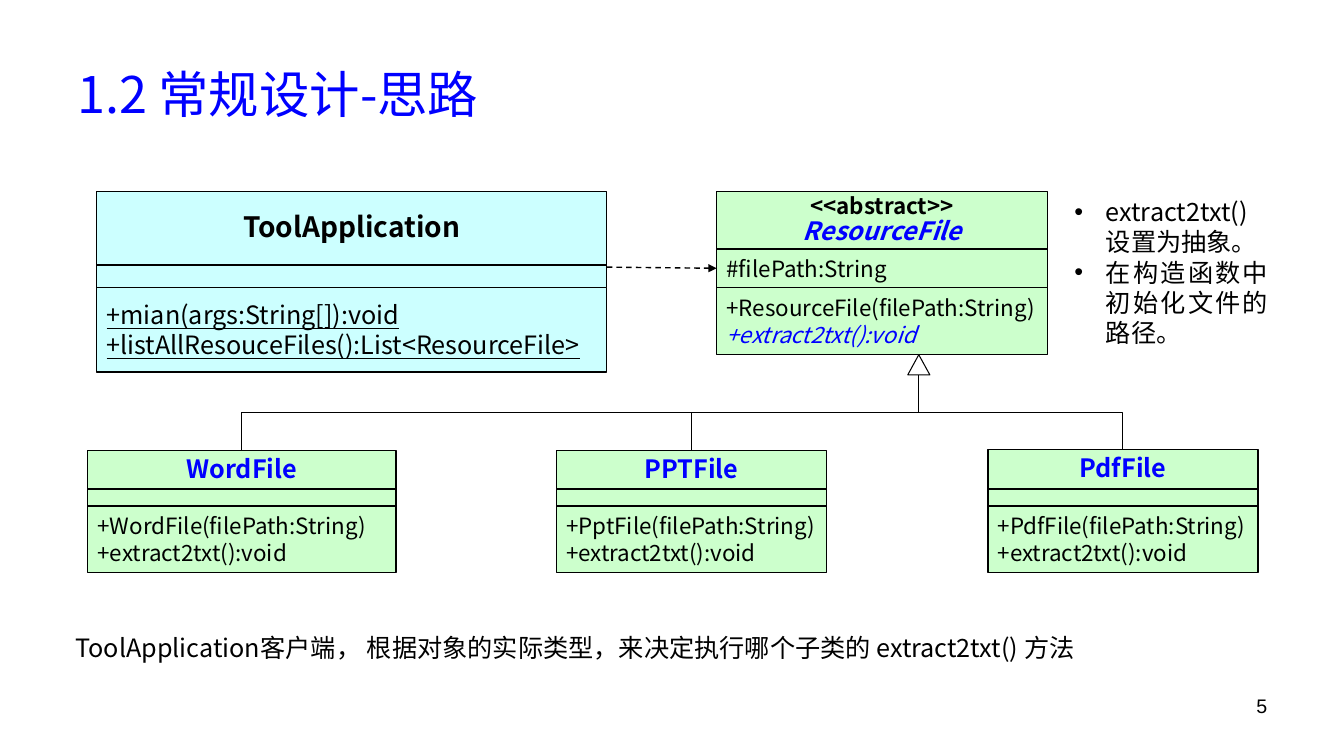
from lxml import etree
from pptx import Presentation
from pptx.dml.color import RGBColor
from pptx.enum.dml import MSO_LINE
from pptx.enum.shapes import MSO_CONNECTOR, MSO_SHAPE
from pptx.enum.text import MSO_ANCHOR, PP_ALIGN
from pptx.oxml.ns import qn
from pptx.util import Pt

BLACK = RGBColor(0x00, 0x00, 0x00)
BLUE = RGBColor(0x00, 0x00, 0xFF)
CYAN = RGBColor(0xCC, 0xFF, 0xFF)
GREEN = RGBColor(0xCC, 0xFF, 0xCC)
WHITE = RGBColor(0xFF, 0xFF, 0xFF)

LEFT, CENTER = PP_ALIGN.LEFT, PP_ALIGN.CENTER
RIGHT, JUSTIFY = PP_ALIGN.RIGHT, PP_ALIGN.JUSTIFY
MIDDLE, TOP = MSO_ANCHOR.MIDDLE, MSO_ANCHOR.TOP
STRAIGHT, ELBOW = MSO_CONNECTOR.STRAIGHT, MSO_CONNECTOR.ELBOW
RECTANGLE, TRIANGLE = MSO_SHAPE.RECTANGLE, MSO_SHAPE.ISOSCELES_TRIANGLE
DASH = MSO_LINE.DASH

SANS = "Noto Sans CJK SC"
LINE_RATIO = 1.2
HEADER_RATIO = 1.08

BODY = {"size": Pt(18)}
MEMBER = {"size": Pt(16)}
ABSTRACT_MEMBER = {"size": Pt(16), "italic": True, "color": BLUE}
STATIC_MEMBER = {"size": Pt(18), "underline": True}
CLIENT_NAME = {"size": Pt(20), "bold": True}
STEREOTYPE = {"size": Pt(16), "bold": True}
CLASS_NAME = {"size": Pt(18), "bold": True, "color": BLUE}
ABSTRACT_NAME = {**CLASS_NAME, "italic": True}
TITLE = {"size": Pt(36), "color": BLUE}
NUMBER = {"size": Pt(14), "name": "Arial"}


def write_lines(shape, lines, alignment=LEFT, anchor=MIDDLE, ratio=LINE_RATIO):
    """Fill a shape with (text, format) paragraphs."""
    frame = shape.text_frame
    frame.word_wrap = True
    frame.vertical_anchor = anchor
    for index, (text, form) in enumerate(lines):
        paragraph = frame.add_paragraph() if index else frame.paragraphs[0]
        paragraph.alignment = alignment
        paragraph.line_spacing = Pt(round(form["size"].pt * ratio, 1))
        run = paragraph.add_run()
        run.text = text
        values = {"name": SANS, "color": BLACK, **form}
        run.font.color.rgb = values.pop("color")
        for name, value in values.items():
            setattr(run.font, name, value)
        east_asian = etree.SubElement(run.font._element, qn("a:ea"))
        east_asian.set("typeface", values["name"])


def add_text(slide, box, lines, alignment):
    """Add a text box at the given box and return it."""
    text_box = slide.shapes.add_textbox(*map(Pt, box))
    write_lines(text_box, lines, alignment, TOP)
    return text_box


def add_title(slide, box, text):
    """Place and format the title placeholder."""
    title = slide.shapes.title
    title.left, title.top, title.width, title.height = map(Pt, box)
    write_lines(title, [(text, TITLE)])


def add_shape(shapes, kind, box, fill, line_width):
    """Add a filled, black-outlined preset shape."""
    shape = shapes.add_shape(kind, *map(Pt, box))
    shape.shadow.inherit = False
    shape.fill.solid()
    shape.fill.fore_color.rgb = fill
    shape.line.color.rgb = BLACK
    shape.line.width = Pt(line_width)
    return shape


def add_class(slide, box, fill, heights, header, attributes, operations):
    """Stack the three compartments of a class and return them."""
    left, top, width = box
    group = slide.shapes.add_group_shape()
    compartments = []
    for height, lines in zip(heights, (header, attributes, operations)):
        shape = add_shape(group.shapes, RECTANGLE, (left, top, width, height), fill, 1)
        if lines is header:
            write_lines(shape, lines, CENTER, ratio=HEADER_RATIO)
        elif lines:
            write_lines(shape, lines)
        compartments.append(shape)
        top += height
    return compartments


def add_line(slide, kind, ends, width):
    """Add a black connector without shadow."""
    connector = slide.shapes.add_connector(kind, *ends)
    connector.line.color.rgb = BLACK
    connector.line.width = Pt(width)
    etree.SubElement(connector._element.spPr, qn("a:effectLst"))
    return connector


def add_dependency(slide, start, target):
    """Draw a dashed arrow to the left side of the target."""
    ends = (*map(Pt, start), target.left, target.top + target.height // 2)
    connector = add_line(slide, STRAIGHT, ends, 1)
    connector.end_connect(target, 1)
    connector.line.dash_style = DASH
    tail = etree.SubElement(connector.line._get_or_add_ln(), qn("a:tailEnd"))
    tail.set("type", "triangle")


def add_inheritance(slide, child, arrow):
    """Draw an elbow upwards from the child to the base of the arrow."""
    start_x, start_y = child.left + child.width // 2, child.top
    end_x, end_y = arrow.left + arrow.width // 2, arrow.top + arrow.height
    connector = add_line(slide, ELBOW, (start_x, start_y, end_x, end_y), 0.75)
    connector.begin_connect(child, 0)
    connector.end_connect(arrow, 3)
    rise, run = start_y - end_y, abs(end_x - start_x)
    connector.left = (start_x + end_x - rise) // 2
    connector.top = (start_y + end_y - run) // 2
    connector.width, connector.height = rise, run
    transform = connector._element.spPr.find(qn("a:xfrm"))
    for name in ("flipH", "flipV"):
        transform.attrib.pop(name, None)
    transform.set("rot", "16200000")
    if start_x > end_x:
        transform.set("flipV", "1")


def add_bullets(slide, box, texts):
    """Add a justified bullet list."""
    text_box = add_text(slide, box, [(text, BODY) for text in texts], JUSTIFY)
    for paragraph in text_box.text_frame.paragraphs:
        properties = paragraph._p.get_or_add_pPr()
        properties.set("marL", str(Pt(22.5)))
        properties.set("indent", str(-Pt(22.5)))
        etree.SubElement(properties, qn("a:buFont")).set("typeface", "Arial")
        etree.SubElement(properties, qn("a:buChar")).set("char", "•")


def add_diagram(slide, left, top):
    """Draw the class diagram from its top left corner."""
    add_class(
        slide, (left + 6.5, top, 364.3), CYAN, (52.6, 15.8, 60.5),
        [("ToolApplication", CLIENT_NAME)], [],
        [("+mian(args:String[]):void", STATIC_MEMBER),
         ("+listAllResouceFiles():List<ResourceFile>", STATIC_MEMBER)])
    resource = add_class(
        slide, (left + 449.3, top, 236.2), GREEN, (41, 27.7, 47.8),
        [("<<abstract>>", STEREOTYPE), ("ResourceFile", ABSTRACT_NAME)],
        [("#filePath:String", MEMBER)],
        [("+ResourceFile(filePath:String)", MEMBER),
         ("+extract2txt():void", ABSTRACT_MEMBER)])
    add_dependency(slide, (left + 370.8, top + 54), resource[1])
    arrow = add_shape(slide.shapes, TRIANGLE,
                      (left + 585.8, top + 116.6, 15.8, 14.4), WHITE, 0.75)
    children = (
        ("WordFile", "WordFile", 0, 220.3, 27.4),
        ("PPTFile", "PptFile", 334.8, 193, 27.4),
        ("PdfFile", "PdfFile", 643, 193, 28.1),
    )
    for name, constructor, offset, width, header_height in children:
        box = (left + offset, top + 212.4 - header_height, width)
        child = add_class(
            slide, box, GREEN, (header_height, 12.4, 47.5),
            [(name, CLASS_NAME)], [],
            [(f"+{constructor}(filePath:String)", MEMBER),
             ("+extract2txt():void", MEMBER)])
        add_inheritance(slide, child[0], arrow)


def main():
    """Build the slide and save it."""
    presentation = Presentation()
    presentation.slide_width, presentation.slide_height = Pt(960), Pt(540)
    slide = presentation.slides.add_slide(presentation.slide_layouts[5])
    add_title(slide, (48, 21.6, 864, 90), "1.2 常规设计-思路")
    add_diagram(slide, 62.6, 136.8)
    add_bullets(slide, (760.3, 136.8, 152.6, 116.6),
                ("extract2txt() 设置为抽象。", "在构造函数中初始化文件的路径。"))
    summary = "ToolApplication客户端， 根据对象的实际类型，来决定执行哪个子类的 extract2txt() 方法"
    add_text(slide, (46.8, 447.8, 866.2, 28.8), [(summary, BODY)], JUSTIFY)
    add_text(slide, (688.3, 491.8, 223.9, 37.4), [("5", NUMBER)], RIGHT)
    presentation.save("out.pptx")


if __name__ == "__main__":
    main()
